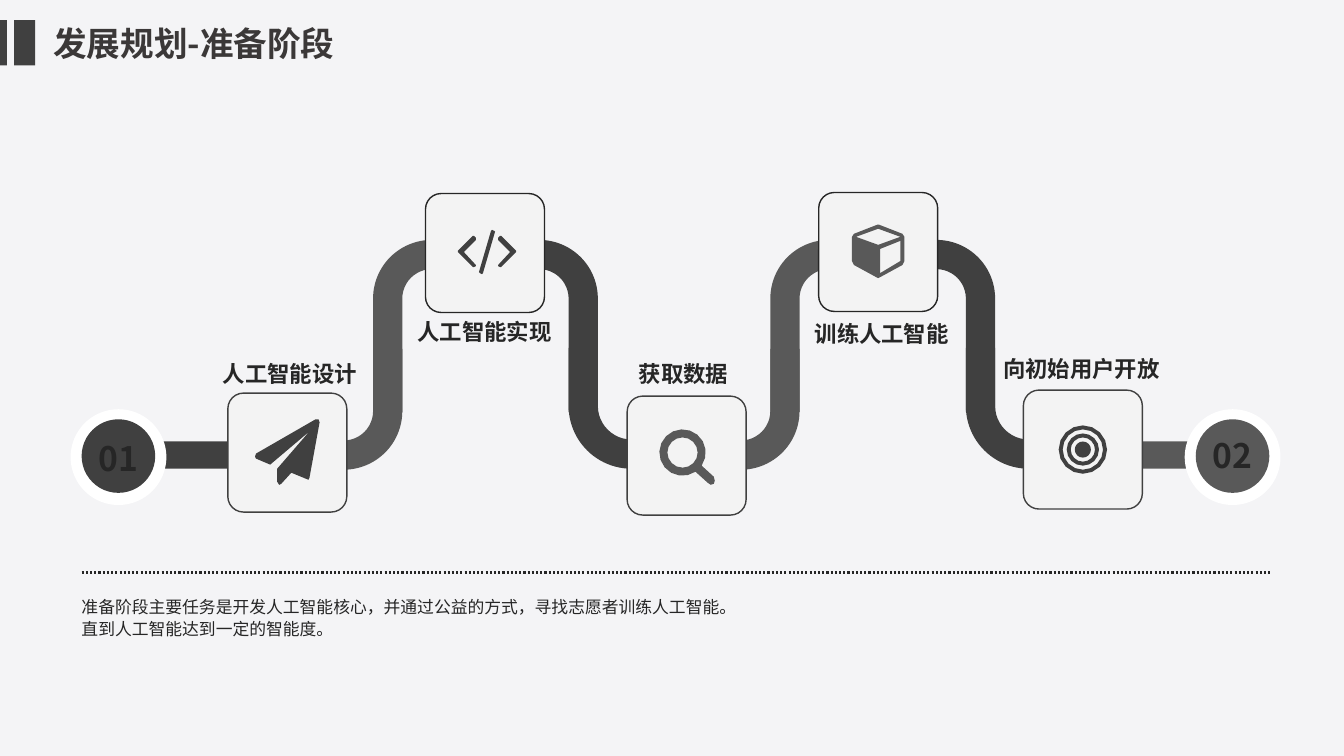
import math

import pptx
import pptx.dml.color
import pptx.enum.dml
import pptx.enum.shapes
import pptx.enum.text
import pptx.oxml
import pptx.oxml.ns
import pptx.util
from lxml import etree

Inches = pptx.util.Inches
RGBColor = pptx.dml.color.RGBColor
SHAPE = pptx.enum.shapes.MSO_SHAPE
ALIGN = pptx.enum.text.PP_ALIGN

FONT = "Noto Sans CJK SC"
BACKGROUND = RGBColor(0xF4, 0xF4, 0xF6)
CARD_FILL = RGBColor(0xF3, 0xF3, 0xF3)
WHITE = RGBColor(0xFF, 0xFF, 0xFF)
DARK = RGBColor(0x40, 0x40, 0x40)
MEDIUM = RGBColor(0x59, 0x59, 0x59)
INK = RGBColor(0x26, 0x26, 0x26)
TITLE_INK = RGBColor(0x3B, 0x38, 0x38)

SLIDE_WIDTH, SLIDE_HEIGHT = 13.33, 7.5
CARD_SIZE = 1.18


def arc(x, y, radius, start=0, end=360, count=16):
    """Points along an arc, in inches; angles in degrees."""
    angles = [math.radians(start + (end - start) * i / count) for i in range(count)]
    return [(x + radius * math.cos(a), y + radius * math.sin(a)) for a in angles]


# Icon outlines, in inches from the corner of their card
PLANE = [[(0.91, 0.29), (0.81, 0.84), (0.8, 0.86), (0.63, 0.79), (0.53, 0.9),
          (0.51, 0.91), (0.49, 0.88), (0.49, 0.75), (0.81, 0.38), (0.42, 0.71),
          (0.28, 0.65), (0.27, 0.63), (0.28, 0.6), (0.87, 0.26), (0.9, 0.26)]]
BRACKET = [(0.48, 0.73), (0.47, 0.73), (0.32, 0.58), (0.32, 0.57), (0.47, 0.42),
           (0.48, 0.42), (0.5, 0.44), (0.5, 0.46), (0.38, 0.58), (0.5, 0.71), (0.5, 0.72)]
SLASH = [(0.57, 0.79), (0.56, 0.8), (0.54, 0.79), (0.53, 0.78),
         (0.65, 0.37), (0.66, 0.36), (0.68, 0.37), (0.69, 0.38)]
CODE = [BRACKET, SLASH, [(1.22 - x, y) for x, y in BRACKET]]
MAGNIFIER = [arc(0.55, 0.56, 0.23, 56, 394)
             + [(0.74, 0.69), (0.86, 0.8), (0.87, 0.84), (0.86, 0.87),
                (0.83, 0.88), (0.8, 0.86)],
             arc(0.55, 0.56, 0.15)]
CUBE = [[(0.85, 0.68), (0.83, 0.72), (0.61, 0.84), (0.59, 0.85), (0.57, 0.84),
         (0.35, 0.72), (0.33, 0.68), (0.33, 0.44), (0.35, 0.41), (0.58, 0.32),
         (0.6, 0.32), (0.83, 0.41), (0.85, 0.44)],
        [(0.81, 0.44), (0.59, 0.36), (0.37, 0.44), (0.59, 0.52)],
        [(0.81, 0.68), (0.81, 0.48), (0.61, 0.56), (0.61, 0.8)]]
TARGET = [arc(0.59, 0.59, radius) for radius in (0.24, 0.2, 0.16, 0.12, 0.08)]

# Card left and top, outline colour, icon, icon colour,
# label, label box (left, top, width) from the card's corner
STEPS = [
    (2.26, 3.9, DARK, PLANE, DARK, "人工智能设计", (-0.06, -0.33, 1.35)),
    (4.22, 1.92, INK, CODE, DARK, "人工智能实现", (-0.09, 1.23, 1.35)),
    (6.22, 3.93, DARK, MAGNIFIER, MEDIUM, "获取数据", (0.11, -0.36, 0.9)),
    (8.12, 1.91, INK, CUBE, MEDIUM, "训练人工智能", (-0.05, 1.26, 1.35)),
    (10.15, 3.87, DARK, TARGET, DARK, "向初始用户开放", (-0.21, -0.35, 1.57)),
]


def paint(shape, fill, line=None):
    shape.shadow.inherit = False
    shape.fill.solid()
    shape.fill.fore_color.rgb = fill
    if line is None:
        shape.line.fill.background()
    else:
        shape.line.color.rgb = line
        shape.line.width = pptx.util.Pt(1)


def add_block(slide, kind, left, top, width, height, fill, line=None):
    shape = slide.shapes.add_shape(
        kind, Inches(left), Inches(top), Inches(width), Inches(height))
    paint(shape, fill, line)
    return shape


def add_text(slide, left, top, width, height, lines, size, color=INK, bold=False,
             align=ALIGN.LEFT, spacing=None, tight=False):
    box = slide.shapes.add_textbox(
        Inches(left), Inches(top), Inches(width), Inches(height))
    frame = box.text_frame
    frame.word_wrap = not tight
    if tight:
        frame.margin_left = frame.margin_right = frame.margin_top = frame.margin_bottom = 0
        frame.vertical_anchor = pptx.enum.text.MSO_ANCHOR.MIDDLE
    frame.text = "\n".join(lines)
    for paragraph in frame.paragraphs:
        paragraph.alignment = align
        if spacing:
            paragraph.line_spacing = spacing
        font = paragraph.font
        font.name, font.size, font.bold = FONT, pptx.util.Pt(size), bold
        font.color.rgb = color
        # East Asian typeface
        properties = paragraph._p.pPr.find(pptx.oxml.ns.qn("a:defRPr"))
        etree.SubElement(properties, pptx.oxml.ns.qn("a:ea"), typeface=FONT)


def add_title(slide, left, top, title):
    add_block(slide, SHAPE.RECTANGLE, left, top, 0.07, 0.45, DARK)
    add_block(slide, SHAPE.RECTANGLE, left + 0.14, top, 0.21, 0.45, DARK)
    add_text(slide, left + 0.43, top - 0.02, 3.91, 0.5, [title], 24, TITLE_INK, True)


def add_pipe_wave(slide, left, top):
    """A pipe that climbs to an upper card and falls to the next lower one."""
    bends = [  # left, top, width, height, rotation, mirrored, colour
        (1.95, 0, 1.12, 1.71, 0, True, DARK),
        (2.78, 1.07, 1.2, 1.2, 270, False, DARK),
        (0.84, 0, 1.12, 1.71, 0, False, MEDIUM),
        (0.01, 1.08, 1.12, 1.2, 180, False, MEDIUM),
    ]
    for x, y, width, height, rotation, mirrored, color in bends:
        bend = add_block(slide, SHAPE.BENT_ARROW, left + x, top + y, width, height, color)
        half = 0.145 / width
        for index, value in enumerate((2 * half, half, 0, 0.52)):
            bend.adjustments[index] = value
        bend.rotation = rotation
        if mirrored:
            bend.element.spPr.xfrm.set("flipH", "1")


def add_icon(slide, left, top, outlines, color):
    placed = [[(Inches(left + x), Inches(top + y)) for x, y in outline]
              for outline in outlines]
    builder = slide.shapes.build_freeform(*placed[0][0], scale=1.0)
    for index, points in enumerate(placed):
        if index:
            builder.move_to(*points[0])
        builder.add_line_segments(points[1:], close=True)
    paint(builder.convert_to_shape(), color)


def add_step(slide, left, top, outline, icon, icon_color, label, label_box):
    card = add_block(slide, SHAPE.ROUNDED_RECTANGLE, left, top,
                     CARD_SIZE, CARD_SIZE, CARD_FILL, outline)
    card.adjustments[0] = 0.131
    add_icon(slide, left, top, icon, icon_color)
    x, y, width = label_box
    add_text(slide, left + x, top + y, width, 0.27, [label], 16, bold=True,
             align=ALIGN.CENTER, tight=True)


def add_end_bar(slide, left, top, width, color):
    bar = add_block(slide, SHAPE.RIGHT_ARROW, left, top, width, 0.27, color)
    bar.adjustments[0] = 1
    bar.adjustments[1] = 0


def add_badge(slide, left, top, number, color, number_left, number_top):
    add_block(slide, SHAPE.OVAL, left, top, 0.95, 0.95, WHITE)
    add_block(slide, SHAPE.OVAL, left + 0.11, top + 0.1, 0.73, 0.73, color)
    add_text(slide, left + number_left, top + number_top, 0.79, 0.5, [number], 24,
             bold=True, align=ALIGN.CENTER)


def add_summary(slide, left, top, width, lines):
    rule = slide.shapes.add_connector(
        pptx.enum.shapes.MSO_CONNECTOR.STRAIGHT,
        Inches(left + 0.1), Inches(top), Inches(left + width - 0.08), Inches(top))
    rule.line.color.rgb = INK
    rule.line.width = pptx.util.Pt(1.5)
    rule.line.dash_style = pptx.enum.dml.MSO_LINE.ROUND_DOT
    etree.SubElement(rule.element.spPr, pptx.oxml.ns.qn("a:effectLst"))
    add_text(slide, left, top + 0.17, width, 0.53, lines, 12,
             align=ALIGN.JUSTIFY, spacing=1.1)


def main():
    presentation = pptx.Presentation()
    presentation.slide_width = Inches(SLIDE_WIDTH)
    presentation.slide_height = Inches(SLIDE_HEIGHT)
    slide = presentation.slides.add_slide(presentation.slide_layouts[6])
    add_block(slide, SHAPE.RECTANGLE, 0, 0, SLIDE_WIDTH, SLIDE_HEIGHT, BACKGROUND)
    add_title(slide, 0, 0.2, "发展规划-准备阶段")

    # Pipeline with its two straight ends
    for wave_left in (6.8, 2.86):
        add_pipe_wave(slide, wave_left, 2.38)
    add_end_bar(slide, 1.1, 4.38, 1.2, DARK)
    add_end_bar(slide, 11.33, 4.38, 1, MEDIUM)
    for step in STEPS:
        add_step(slide, *step)
    add_badge(slide, 0.7, 4.06, "01", DARK, 0.08, 0.24)
    add_badge(slide, 11.75, 4.06, "02", MEDIUM, 0.08, 0.21)

    add_summary(slide, 0.71, 5.68, 11.99, [
        "准备阶段主要任务是开发人工智能核心，并通过公益的方式，寻找志愿者训练人工智能。",
        "直到人工智能达到一定的智能度。",
    ])
    presentation.save("out.pptx")


if __name__ == "__main__":
    main()
